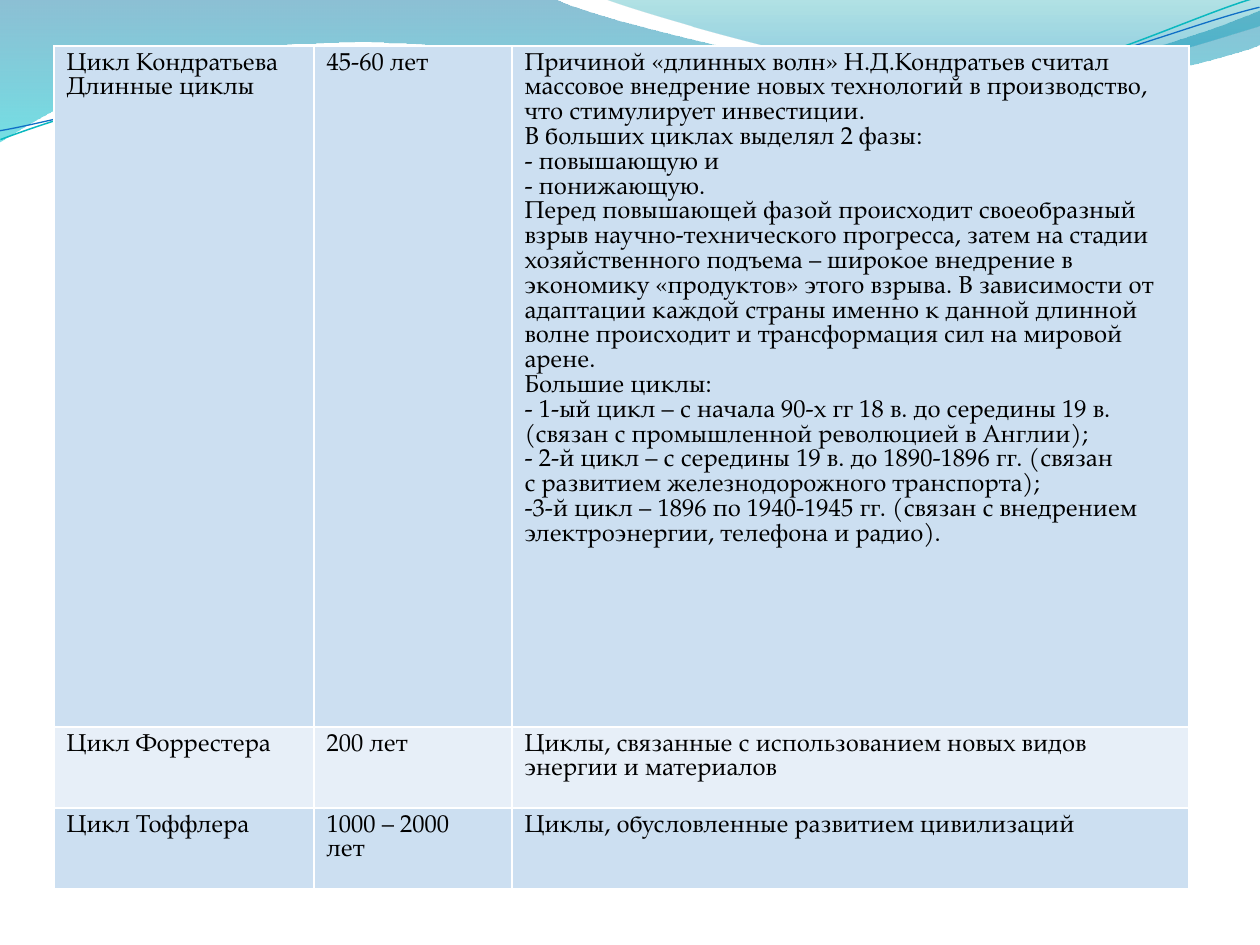
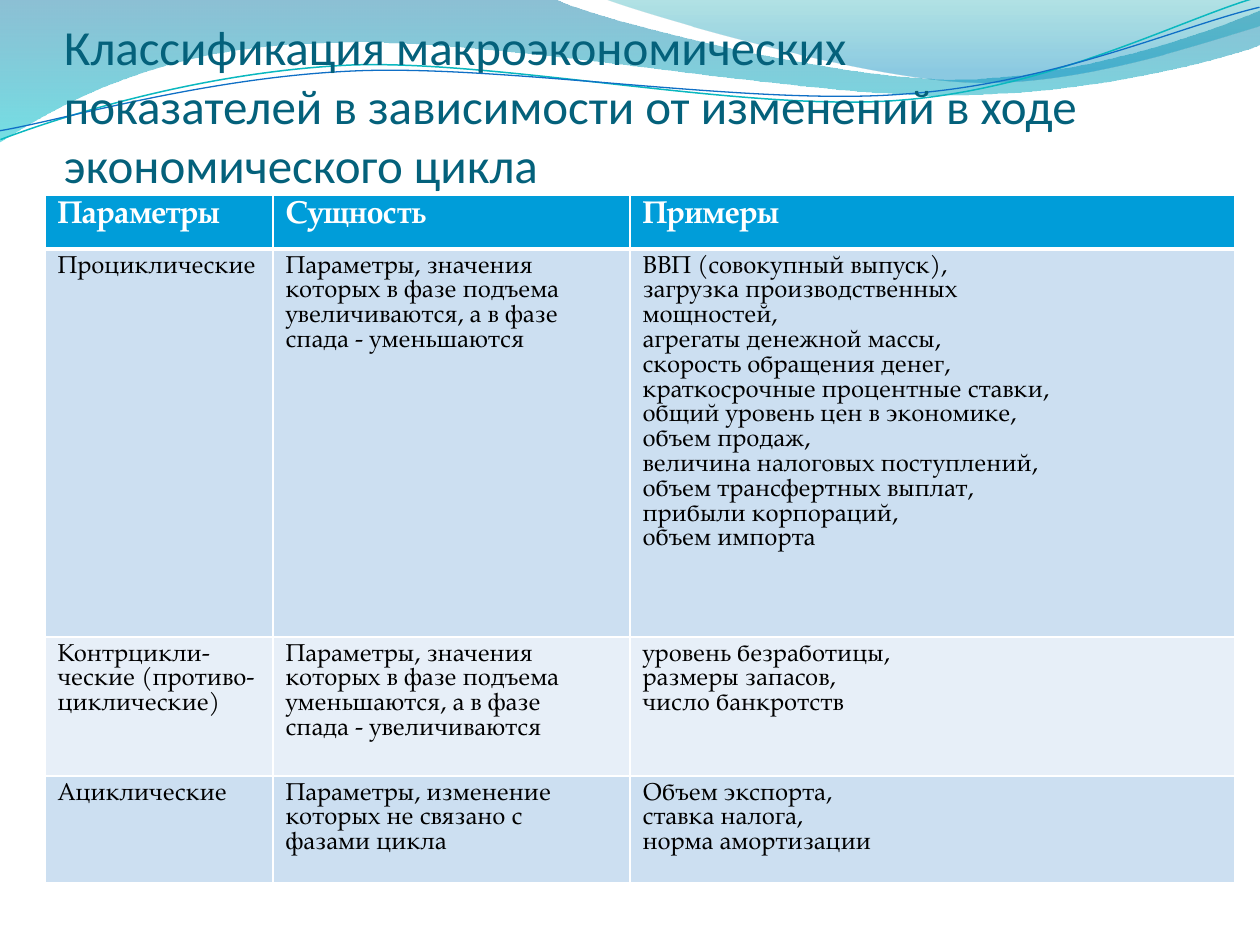
import pptx
import pptx.dml.color
import pptx.enum.text
import pptx.oxml
import pptx.oxml.ns
import pptx.util

PX = 914400 / 126
SERIF = "TeX Gyre Pagella"
COLORS = {
    "white": "FFFFFF", "text": "000000", "title": "04617B",
    "head": "009DD9", "dark": "CCDFF1", "light": "E7EFF8",
    "teal": "0AB8BF", "blue": "0F6FC6",
    "deep": "0074A1", "cyan": "00C6CF", "sea": "00A1A9", "sky": "008BBF",
}
BANDS = [
    ([(0, 0), (554, -1), (600, 21, 837, 79, 955, 79), (1075, 79, 1207, 33, 1260, 11),
      (1261, 45), (1235, 55, 1096, 96, 940, 95), (784, 95, 481, 35, 324, 43),
      (163, 45, 58, 105, -1, 142), (0, 0)],
     [(0, "deep", 45), (100, "cyan", 55)]),
    ([(604, -1), (642, 14, 859, 78, 969, 82), (1079, 87, 1211, 40, 1260, 26),
      (1260, 0), (604, -1)],
     [(0, "sea", 30), (80, "sky", 45)]),
]
TILT = 357.3
LINES = [
    ([(-2, 110), (59, 90, 200, 52, 350, 52), (498, 53, 745, 118, 897, 113),
      (1048, 109, 1184, 45, 1260, 27)], "teal", 0.85),
    ([(-2, 101), (58, 94, 207, 57, 357, 58), (508, 59, 751, 112, 902, 107),
      (1052, 104, 1182, 52, 1262, 37)], "blue", 0.75),
]
CYCLES = [
    ["Цикл Кондратьева\nДлинные циклы", "45-60 лет",
     """Причиной «длинных волн» Н.Д.Кондратьев считал
массовое внедрение новых технологий в производство,
что стимулирует инвестиции.
В больших циклах выделял 2 фазы:
- повышающую и
- понижающую.
Перед повышающей фазой происходит своеобразный
взрыв научно-технического прогресса, затем на стадии
хозяйственного подъема – широкое внедрение в
экономику «продуктов» этого взрыва. В зависимости от
адаптации каждой страны именно к данной длинной
волне происходит и трансформация сил на мировой
арене.
Большие циклы:
- 1-ый цикл – с начала 90-х гг 18 в. до середины 19 в.
(связан с промышленной революцией в Англии);
- 2-й цикл – с середины 19 в. до 1890-1896 гг. (связан
с развитием железнодорожного транспорта);
-3-й цикл – 1896 по 1940-1945 гг. (связан с внедрением
электроэнергии, телефона и радио)."""],
    ["Цикл Форрестера", "200 лет",
     "Циклы, связанные с использованием новых видов\nэнергии и материалов"],
    ["Цикл Тоффлера", "1000 – 2000\nлет", "Циклы, обусловленные развитием цивилизаций"],
]
TITLE = ("Классификация макроэкономических \v"
         "показателей в зависимости от изменений в ходе \v"
         "экономического цикла")
PARAMS = [
    ["Параметры", "Сущность", "Примеры"],
    ["Проциклические",
     "Параметры, значения\nкоторых в фазе подъема\nувеличиваются, а в фазе\nспада - уменьшаются",
     """ВВП (совокупный выпуск),
загрузка производственных
мощностей,
агрегаты денежной массы,
скорость обращения денег,
краткосрочные процентные ставки,
общий уровень цен в экономике,
объем продаж,
величина налоговых поступлений,
объем трансфертных выплат,
прибыли корпораций,
объем импорта"""],
    ["Контрцикли-\nческие (противо-\nциклические)",
     "Параметры, значения\nкоторых в фазе подъема\nуменьшаются, а в фазе\nспада - увеличиваются",
     "уровень безработицы,\nразмеры запасов,\nчисло банкротств"],
    ["Ациклические", "Параметры, изменение\nкоторых не связано с\nфазами цикла",
     "Объем экспорта,\nставка налога,\nнорма амортизации"],
]


def px(num):
    """Turn px into EMU."""
    return pptx.util.Emu(round(num * PX))


def rgb(name):
    """Look up a named colour."""
    return pptx.dml.color.RGBColor.from_string(COLORS[name])


def xml(tag, body=""):
    """Build a drawing element from its opening tag text and its content."""
    name = tag.split()[0]
    return pptx.oxml.parse_xml(f"<a:{tag} {pptx.oxml.ns.nsdecls('a')}>{body}</a:{name}>")


def put(frame, text, font=SERIF, size=14, color="text", bold=False):
    """Fill a text frame, one paragraph per line of text."""
    for num, line in enumerate(text.split("\n")):
        para = frame.add_paragraph() if num else frame.paragraphs[0]
        para.text = line
        for run in para.runs:
            run.font.name = font
            run.font.size = pptx.util.Pt(size)
            run.font.bold = bold
            run.font.color.rgb = rgb(color)


def bend(shape, steps):
    """Merge each three straight segments of a six-number step into one curve."""
    sides = list(shape.element.iter(pptx.oxml.ns.qn("a:lnTo")))
    for step in steps[1:]:
        used, sides = sides[:len(step) // 2], sides[len(step) // 2:]
        if len(used) == 3:
            curve = xml("cubicBezTo")
            used[0].addprevious(curve)
            for side in used:
                curve.append(side[0])
                side.getparent().remove(side)


def draw(slide, steps, close):
    """Add an unfilled curved outline through the given steps."""
    dots = [(px(step[at]), px(step[at + 1]))
            for step in steps for at in range(0, len(step), 2)]
    pen = slide.shapes.build_freeform(*dots[0], scale=1.0)
    pen.add_line_segments(dots[1:], close=close)
    shape = pen.convert_to_shape()
    bend(shape, steps)
    shape.shadow.inherit = False
    shape.fill.background()
    return shape


def waves(slide):
    """Draw the waves along the top of a slide."""
    for steps, stops in BANDS:
        shape = draw(slide, steps, True)
        shape.line.fill.background()
        body = "".join(
            f'<a:gs pos="{pos * 1000}"><a:srgbClr val="{COLORS[tone]}">'
            f'<a:alpha val="{alpha * 1000}"/></a:srgbClr></a:gs>'
            for pos, tone, alpha in stops)
        grad = xml('gradFill rotWithShape="1"',
                   f'<a:gsLst>{body}</a:gsLst><a:lin ang="5400000" scaled="0"/>')
        props = shape.element.spPr
        props.replace(props.find(pptx.oxml.ns.qn("a:noFill")), grad)
    for steps, color, width in LINES:
        shape = draw(slide, steps, False)
        shape.rotation = TILT
        shape.line.color.rgb = rgb(color)
        shape.line.width = pptx.util.Pt(width)


def edge(cell, top, bottom):
    """Give a cell white borders, with widths in points."""
    props = cell._tc.get_or_add_tcPr()
    for side, width in zip("LRTB", (1, 1, top, bottom)):
        props.append(xml(f'ln{side} w="{width * 12700}"',
                         f'<a:solidFill><a:srgbClr val="{COLORS["white"]}"/></a:solidFill>'))


def grid(slide, left, top, cols, rows, data, head=False):
    """Add a banded table, with a header row if asked."""
    table = slide.shapes.add_table(len(rows), len(cols), px(left), px(top),
                                   px(sum(cols)), px(sum(rows))).table
    table.first_row = head
    table.horz_banding = False
    for col, width in zip(table.columns, cols):
        col.width = px(width)
    for num, (row, high) in enumerate(zip(table.rows, rows)):
        row.height = px(high)
        first = head and num == 0
        fill = "head" if first else ("dark", "light")[(num - head) % 2]
        style = dict(size=18, color="white", bold=True) if first else {}
        for cell, text in zip(row.cells, data[num]):
            edge(cell, 3 if head and num == 1 else 1, 3 if first else 1)
            cell.fill.solid()
            cell.fill.fore_color.rgb = rgb(fill)
            put(cell.text_frame, text, **style)


def title(slide, left, top, width, high, text):
    """Add a slide title that sits on the bottom of its box."""
    frame = slide.shapes.add_textbox(px(left), px(top), px(width), px(high)).text_frame
    frame.word_wrap = True
    frame.vertical_anchor = pptx.enum.text.MSO_ANCHOR.BOTTOM
    frame.margin_left = frame.margin_right = frame.margin_bottom = 0
    put(frame, text, font="Calibri", size=28, color="title")


def main():
    """Build both slides and save them."""
    deck = pptx.Presentation()
    deck.slide_width, deck.slide_height = px(1260), px(945)
    long, kinds = (deck.slides.add_slide(deck.slide_layouts[6]) for _ in range(2))
    for slide in (long, kinds):
        waves(slide)
    grid(long, 54, 46, [260, 198, 677], [681, 81, 81], CYCLES)
    title(kinds, 64, 36, 1134, 157, TITLE)
    grid(kinds, 45, 195, [228, 357, 605], [54, 388, 139, 107], PARAMS, head=True)
    deck.save("out.pptx")


if __name__ == "__main__":
    main()
